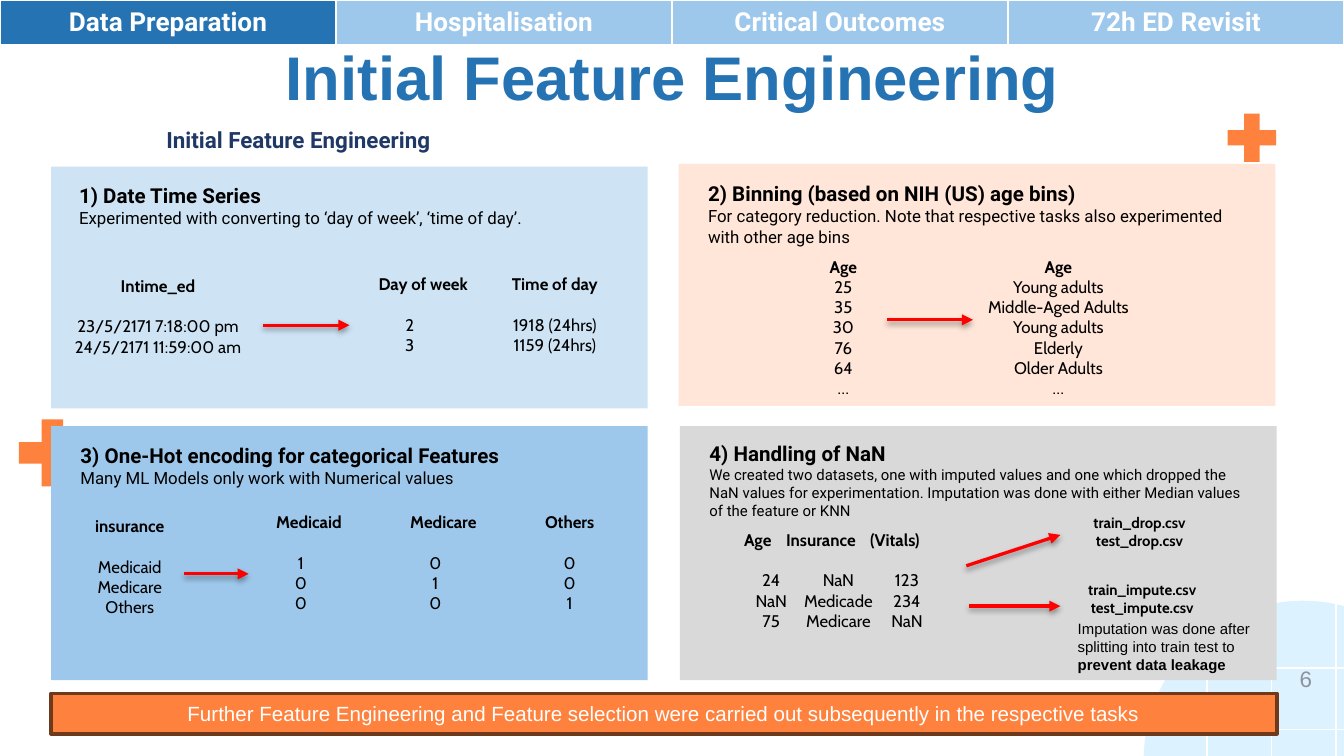
from lxml import etree
from pptx import Presentation
from pptx.dml.color import RGBColor
from pptx.enum.shapes import MSO_CONNECTOR, MSO_SHAPE
from pptx.enum.text import MSO_ANCHOR, MSO_AUTO_SIZE, PP_ALIGN
from pptx.oxml import parse_xml
from pptx.oxml.ns import nsdecls, qn
from pptx.util import Inches, Pt

WHITE, BLACK, BLUE, SKY, ORANGE = "FFFFFF", "000000", "2573B3", "9EC8EB", "FE823D"
LEFT, CENTER, RIGHT = PP_ALIGN.LEFT, PP_ALIGN.CENTER, PP_ALIGN.RIGHT
WIDTH = 10
HEIGHT = WIDTH * 9 / 16

TABS = ["Data Preparation", "Hospitalisation", "Critical Outcomes", "72h ED Revisit"]
TITLE = "Initial Feature Engineering"
FOOTER = ("Further Feature Engineering and Feature selection were carried out "
          "subsequently in the respective tasks")

GLOBE = (8.51, 4.47, 2.37, 2.37)
MERIDIANS = [8.98, 9.46, 9.94]
PARALLELS = [4.97, 5.43]
PLUSES = [(0.05, 3.03, 0.68, 0.68), (9.07, 0.78, 0.49, 0.49)]

PANELS = [
    ((0.38, 1.24, 4.44, 1.8), "CEE4F5"),
    ((0.38, 3.17, 4.44, 1.89), SKY),
    ((5.06, 3.17, 4.44, 1.89), "D9D9D9"),
    ((5.05, 1.22, 4.44, 1.8), "FFE6D8"),
]

HEADINGS = [
    ((0.49, 1.31, 4.23, 0.44), "1) Date Time Series", 9,
     "Experimented with converting to ‘day of week’, ‘time of day’."),
    ((5.18, 3.23, 4.19, 0.69), "4) Handling of NaN", 8,
     "We created two datasets, one with imputed values and one which dropped the NaN values "
     "for experimentation. Imputation was done with either Median values of the feature or KNN"),
    ((0.5, 3.25, 3.52, 0.44), "3) One-Hot encoding for categorical Features", 9,
     "Many ML Models only work with Numerical values"),
    ((5.17, 1.3, 4.2, 0.59), "2) Binning (based on NIH (US) age bins)", 9,
     "For category reduction. Note that respective tasks also experimented with other age bins"),
]

LISTS = [
    ((0.37, 2, 1.61, 0.71), 11, "Intime_ed",
     ["23/5/2171 7:18:00 pm", "24/5/2171 11:59:00 am"]),
    ((0.34, 3.79, 1.25, 0.86), 11, "insurance", ["Medicaid", "Medicare", "Others"]),
    ((5.65, 1.86, 1.25, 1.16), 0, "Age", ["25", "35", "30", "76", "64", "…"]),
    ((7.2, 1.86, 1.35, 1.16), 0, "Age",
     ["Young adults", "Middle-Aged Adults", "Young adults", "Elderly", "Older Adults", "…"]),
]

GRIDS = [
    ((2.6, 1.99, 2.06, 0.71), [3.15, 4.13], [3.05, 4.13],
     ["Day of week", "Time of day"], [["2", "1918 (24hrs)"], ["3", "1159 (24hrs)"]]),
    ((1.9, 3.76, 2.68, 0.86), [2.3, 3.3, 4.24], [2.24, 3.24, 4.24],
     ["Medicaid", "Medicare", "Others"], [["1", "0", "0"], ["0", "1", "0"], ["0", "0", "1"]]),
    ((5.13, 3.89, 2.24, 0.86), [5.64, 6.11, 6.66], [5.74, 6.24, 6.75],
     ["Age", "Insurance", "(Vitals)"],
     [["24", "NaN", "123"], ["NaN", "Medicade", "234"], ["75", "Medicare", "NaN"]]),
]

FILES = [
    ((7.88, 3.77, 1.2, 0.37), ["train_drop.csv", "test_drop.csv"]),
    ((7.9, 4.27, 1.2, 0.37), ["train_impute.csv", "test_impute.csv"]),
]

ARROWS = [
    (1.96, 2.42, 2.6, 2.42),
    (6.6, 2.38, 7.24, 2.38),
    (7.19, 4.21, 7.89, 3.98),
    (1.37, 4.27, 1.85, 4.27),
    (7.21, 4.51, 7.89, 4.51),
]


def color(value):
    return RGBColor.from_string(value)


def write(para, spans, align=LEFT, ink=BLACK, after=0, stops=(), **style):
    if stops:
        tab_list = etree.SubElement(para._p.get_or_add_pPr(), qn("a:tabLst"))
        for stop in stops:
            etree.SubElement(tab_list, qn("a:tab"), pos=str(Inches(stop)), algn="ctr")
    para.alignment = align
    if after:
        para.space_after = Pt(after)
    for text, bold in spans:
        span = para.add_run()
        span.text = text
        span.font.color.rgb = color(ink)
        for key, value in {**style, "bold": bold}.items():
            setattr(span.font, key, value)


def add_text(page, area, paragraphs, anchor=MSO_ANCHOR.TOP, inset=0.05):
    frame = page.shapes.add_textbox(*map(Inches, area)).text_frame
    settings = {"word_wrap": True, "vertical_anchor": anchor,
                "margin_top": Inches(inset), "margin_bottom": Inches(inset)}
    for key, value in settings.items():
        setattr(frame, key, value)
    for index, values in enumerate(paragraphs):
        write(frame.add_paragraph() if index else frame.paragraphs[0], **values)


def add_block(page, kind, area, fill, line=None):
    shape = page.shapes.add_shape(kind, *map(Inches, area))
    shape.shadow.inherit = False
    shape.fill.solid()
    shape.fill.fore_color.rgb = color(fill)
    if line:
        shape.line.color.rgb = color(line)
        shape.line.width = Pt(2)
    else:
        shape.line.fill.background()
    return shape


def add_line(page, ends, ink, width):
    line = page.shapes.add_connector(MSO_CONNECTOR.STRAIGHT, *map(Inches, ends))
    line.line.color.rgb = color(ink)
    line.line.width = Pt(width)
    effects = etree.SubElement(line._element.spPr, qn("a:effectLst"))
    return line, effects


def add_arrow(page, ends):
    line, effects = add_line(page, ends, "FF0000", 1.75)
    etree.SubElement(line._element.spPr.find(qn("a:ln")), qn("a:tailEnd"), type="triangle")
    effects.append(parse_xml(
        f'<a:outerShdw {nsdecls("a")} blurRad="{Pt(3.1)}" dist="{Pt(1.6)}" dir="5400000" '
        'rotWithShape="0"><a:srgbClr val="000000"><a:alpha val="38000"/></a:srgbClr></a:outerShdw>'))


def add_tabs(page):
    area = map(Inches, (0, 0, WIDTH, 0.33))
    table = page.shapes.add_table(1, len(TABS), *area).table
    for index, label in enumerate(TABS):
        cell = table.cell(0, index)
        properties = cell._tc.get_or_add_tcPr()
        for side in ("lnL", "lnR", "lnT", "lnB"):
            properties.append(parse_xml(
                f'<a:{side} {nsdecls("a")} w="{Pt(1)}"><a:solidFill>'
                f'<a:srgbClr val="{WHITE}"/></a:solidFill></a:{side}>'))
        cell.fill.solid()
        cell.fill.fore_color.rgb = color(SKY if index else BLUE)
        write(cell.text_frame.paragraphs[0], [(label, True)], CENTER, WHITE,
              name="Roboto", size=Pt(14))


def set_title(page):
    title = page.shapes.title
    title.left, title.top, title.width, title.height = map(Inches, (0.79, 0.19, 8.43, 0.63))
    frame = title.text_frame
    settings = {"auto_size": MSO_AUTO_SIZE.NONE, "vertical_anchor": MSO_ANCHOR.TOP,
                "margin_top": Inches(0.1), "margin_bottom": Inches(0.1)}
    for key, value in settings.items():
        setattr(frame, key, value)
    write(frame.paragraphs[0], [(TITLE, True)], CENTER, BLUE, name="Arial", size=Pt(33))


def build():
    deck = Presentation()
    deck.slide_width, deck.slide_height = Inches(WIDTH), Inches(HEIGHT)
    page = deck.slides.add_slide(deck.slide_layouts[5])
    set_title(page)

    add_block(page, MSO_SHAPE.OVAL, GLOBE, "DCF3FF")
    for x in MERIDIANS:
        add_line(page, (x, GLOBE[1], x, HEIGHT), WHITE, 0.75)
    for y in PARALLELS:
        add_line(page, (8.52, y, WIDTH, y), WHITE, 0.75)
    add_text(page, (7.61, 4.9, 2.25, 0.3), [dict(
        spans=[("6", False)], align=RIGHT, ink="8D91A0", name="Arial", size=Pt(12))],
        MSO_ANCHOR.MIDDLE)

    for area in PLUSES:
        add_block(page, MSO_SHAPE.MATH_PLUS, area, ORANGE).adjustments[0] = 0.235
    add_tabs(page)
    add_text(page, (0.58, 0.84, 3.28, 0.38), [dict(
        spans=[(TITLE, True)], align=CENTER, ink="203866", name="Roboto", size=Pt(12))], inset=0.1)

    for area, fill in PANELS:
        add_block(page, MSO_SHAPE.RECTANGLE, area, fill)
    for area, heading, size, detail in HEADINGS:
        add_text(page, area, [
            dict(spans=[(heading, True)], name="Roboto", size=Pt(11)),
            dict(spans=[(detail, False)], name="Roboto", size=Pt(size))])

    cabin = dict(name="Cabin", size=Pt(9))
    for area, gap, heading, rows in LISTS:
        add_text(page, area, [dict(spans=[(heading, True)], align=CENTER, after=gap, **cabin)]
                 + [dict(spans=[(row, False)], align=CENTER, **cabin) for row in rows])
    for area, head_centers, row_centers, heads, rows in GRIDS:
        start = area[0] + 0.1
        head_stops = [x - start for x in head_centers]
        row_stops = [x - start for x in row_centers]
        add_text(page, area, [dict(
            spans=[("\t" + "\t".join(heads), True)], stops=head_stops, after=11, **cabin)]
            + [dict(spans=[("\t" + "\t".join(row), False)], stops=row_stops, **cabin)
               for row in rows])
    for ends in ARROWS:
        add_arrow(page, ends)

    footer = add_block(page, MSO_SHAPE.RECTANGLE, (0.38, 5.16, 9.12, 0.3), ORANGE, "6F391B")
    write(footer.text_frame.paragraphs[0], [(FOOTER, False)], CENTER, WHITE,
          name="Arial", size=Pt(11))
    for area, names in FILES:
        add_text(page, area, [dict(spans=[(name, True)], align=CENTER, name="Cabin", size=Pt(8))
                              for name in names])
    add_text(page, (7.92, 4.56, 1.63, 0.5), [dict(
        spans=[("Imputation was done after splitting into train test to ", False),
               ("prevent data leakage", True)], name="Arial", size=Pt(8))])
    deck.save("out.pptx")


if __name__ == "__main__":
    build()
